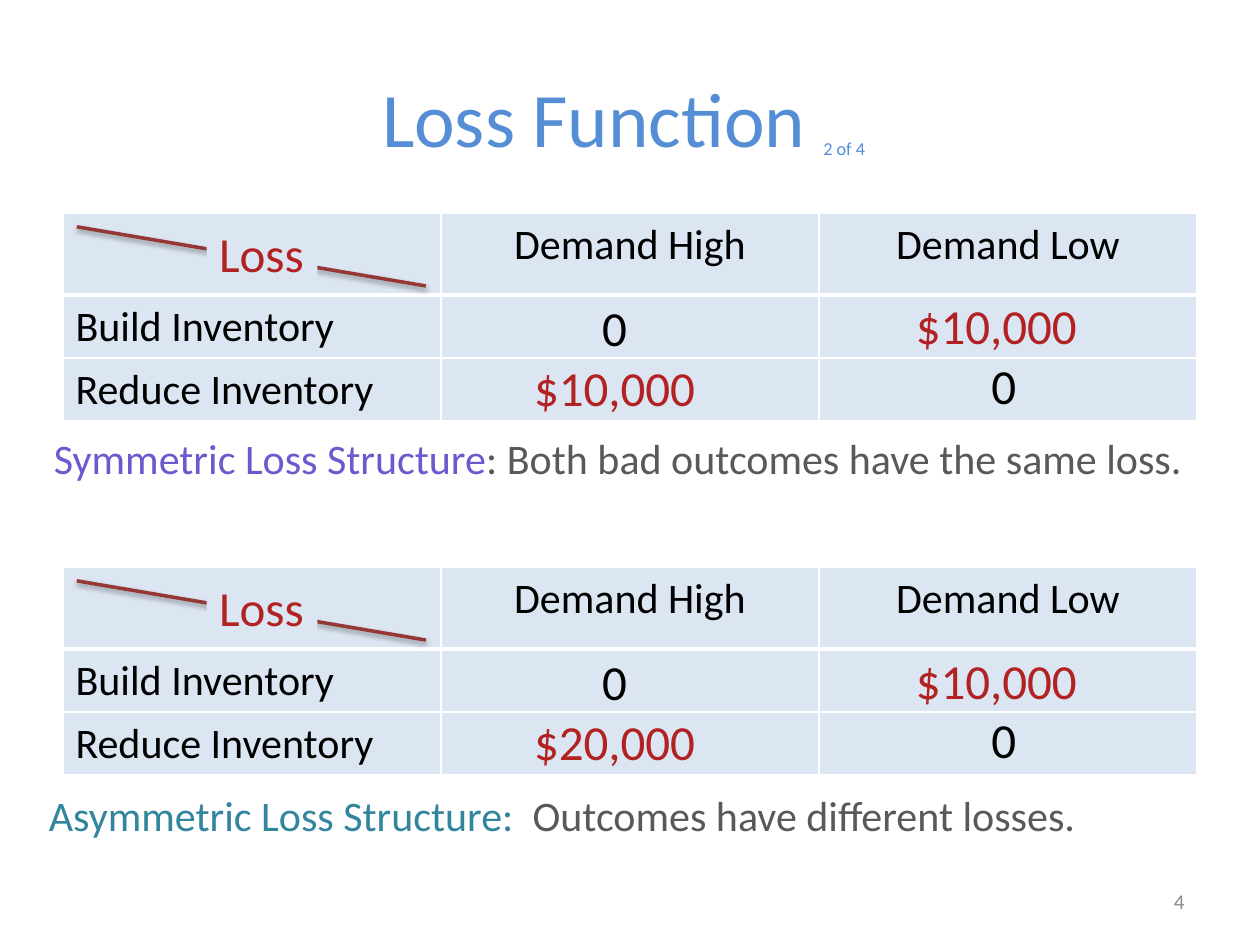
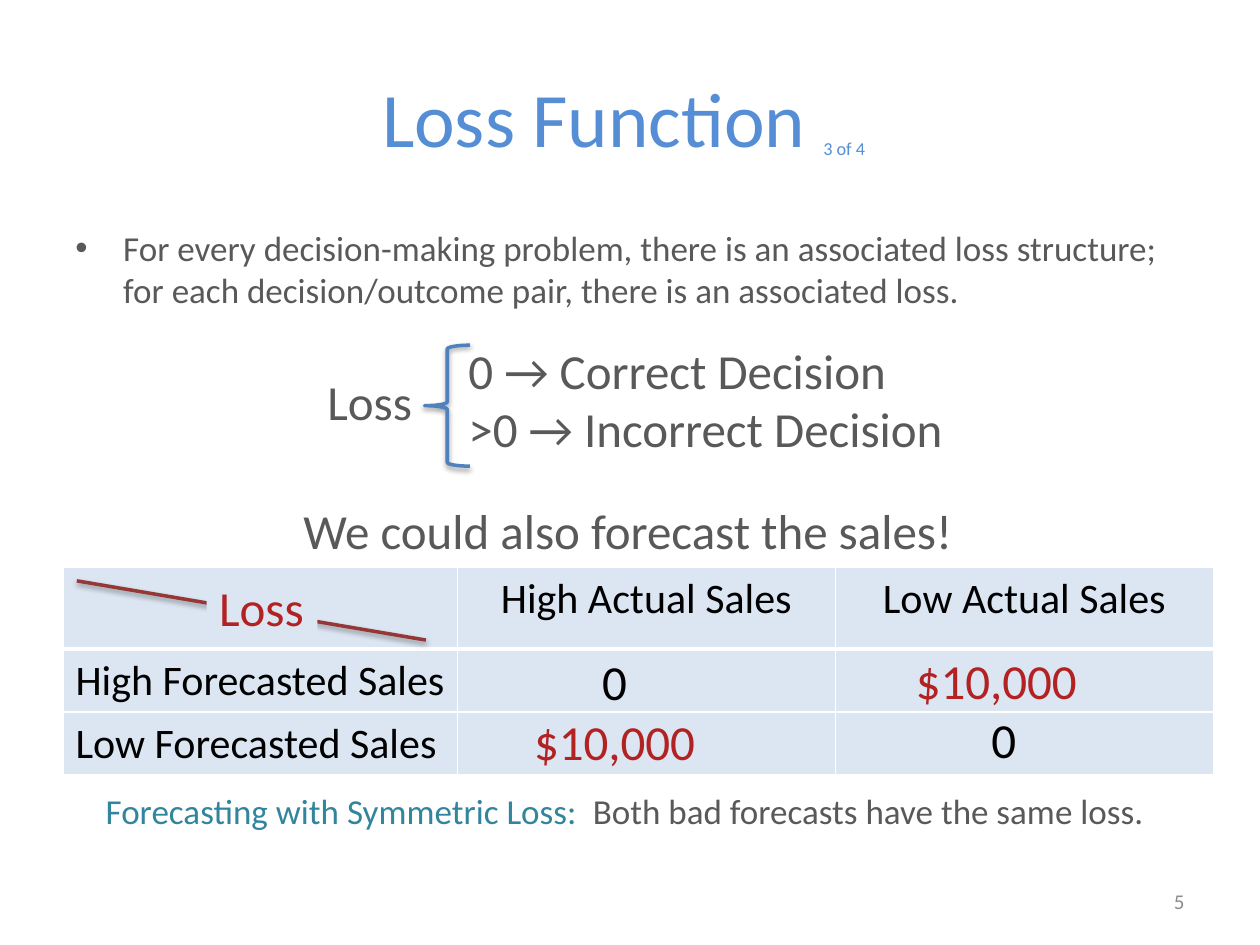
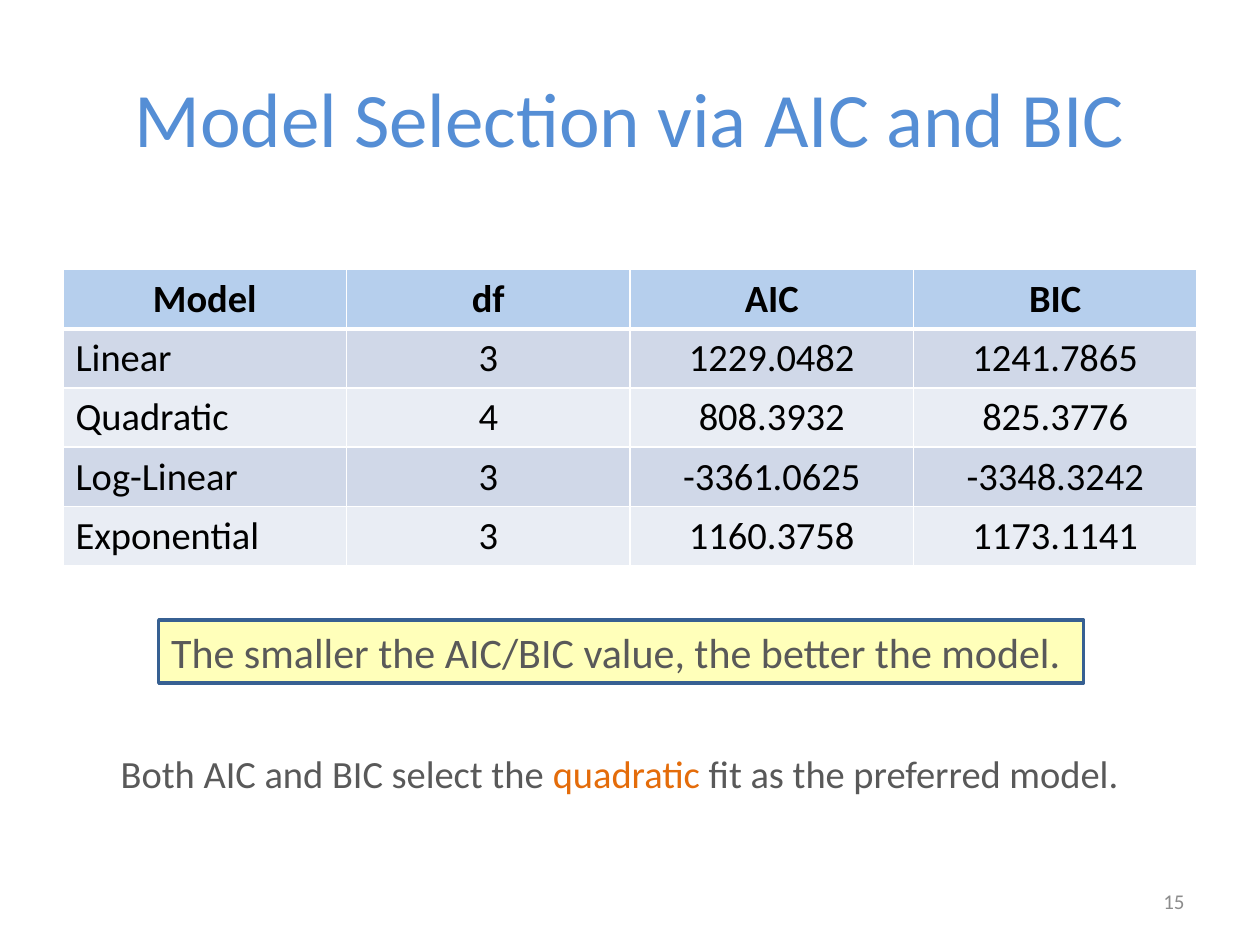
from collections import namedtuple

from lxml.etree import SubElement
from pptx import Presentation
from pptx.dml.color import RGBColor
from pptx.enum.shapes import MSO_CONNECTOR, MSO_SHAPE
from pptx.enum.text import MSO_ANCHOR, MSO_AUTO_SIZE, PP_ALIGN
from pptx.oxml.ns import qn
from pptx.util import Inches, Pt

WIDTH, HEIGHT = Inches(10), Inches(7.5)
COLUMN, ROW = WIDTH / 100, HEIGHT / 75
FONT = "Calibri"

BLUE, GREY, BLACK, WHITE = "558ED5", "595959", "000000", "FFFFFF"
RED, DARK_RED, VIOLET, TEAL, ORANGE = "B22222", "953735", "6A5ACD", "31859C", "E46C0A"
PALE_BLUE, HEADER_BLUE, BANDS = "DCE6F2", "8EB4E3", ("D0D8E8", "E9EDF4")
NUMBER_GREY, BRACE_BLUE, FRAME_BLUE, YELLOW = "8C8C8C", "4F81BD", "376092", "FFFF00"

# Grid units: 100 columns by 75 rows
Box = namedtuple("Box", "left top width height")
Run = namedtuple("Run", "text size color bold baseline", defaults=(False, 0))


def rgb(color):
    return RGBColor.from_string(color)


def emu(box):
    return (round(box.left * COLUMN), round(box.top * ROW),
            round(box.width * COLUMN), round(box.height * ROW))


def inside(box, left, top, width, height):
    """Box placed relative to the corner of another."""
    return Box(box.left + left, box.top + top, width, height)


def paint(fill, color, opacity=100):
    fill.solid()
    fill.fore_color.rgb = rgb(color)
    if opacity < 100:
        color_element = fill._xPr.find(qn("a:solidFill"))[0]
        SubElement(color_element, qn("a:alpha"), val=str(opacity * 1000))


def stroke(line, color, points=2):
    line.color.rgb = rgb(color)
    line.width = Pt(points)


def cast_shadow(shape):
    effects = SubElement(shape._element.spPr, qn("a:effectLst"))
    shadow = SubElement(effects, qn("a:outerShdw"), blurRad=str(Pt(3.1)),
                        dist=str(Pt(1.6)), dir="5400000", rotWithShape="0")
    black = SubElement(shadow, qn("a:srgbClr"), val=BLACK)
    SubElement(black, qn("a:alpha"), val="38000")


def write(frame, paragraphs, align=PP_ALIGN.LEFT):
    for index, runs in enumerate(paragraphs):
        paragraph = frame.add_paragraph() if index else frame.paragraphs[0]
        paragraph.alignment = align
        for part in runs:
            run = paragraph.add_run()
            run.text = part.text
            run.font.name = FONT
            run.font.size = Pt(part.size)
            run.font.bold = part.bold
            run.font.color.rgb = rgb(part.color)
            if part.baseline:
                run.font._element.set("baseline", str(part.baseline * 1000))


def add_text(slide, box, *paragraphs, align=PP_ALIGN.LEFT, anchor=MSO_ANCHOR.MIDDLE):
    """Wrapped text in a box of fixed size."""
    frame = slide.shapes.add_textbox(*emu(box)).text_frame
    frame.word_wrap = True
    frame.vertical_anchor = anchor
    write(frame, paragraphs, align)
    return frame


def add_label(slide, box, *paragraphs, fill=None, opacity=100, outline=None):
    """Unwrapped text whose box fits it, on a filled rectangle if wanted."""
    if fill:
        label = slide.shapes.add_shape(MSO_SHAPE.RECTANGLE, *emu(box))
        label.shadow.inherit = False
        paint(label.fill, fill, opacity)
        if outline:
            stroke(label.line, outline)
        else:
            label.line.fill.background()
    else:
        label = slide.shapes.add_textbox(*emu(box))
    frame = label.text_frame
    frame.word_wrap = False
    frame.auto_size = MSO_AUTO_SIZE.SHAPE_TO_FIT_TEXT
    frame.vertical_anchor = MSO_ANCHOR.TOP
    write(frame, paragraphs)


def add_borders(cell, top, bottom):
    properties = cell._tc.get_or_add_tcPr()
    for side, points in (("L", 1), ("R", 1), ("T", top), ("B", bottom)):
        line = SubElement(properties, qn(f"a:ln{side}"), w=str(Pt(points)))
        fill = SubElement(line, qn("a:solidFill"))
        SubElement(fill, qn("a:srgbClr"), val=WHITE)


def add_grid(slide, box, widths, heights, rows, size, header, bands, bold_header=False):
    """Table with a thick rule below its header; header is (colour, opacity)."""
    table = slide.shapes.add_table(len(heights), len(widths), *emu(box)).table
    table.first_row = table.horz_banding = False
    for column, width in zip(table.columns, widths):
        column.width = round(width * COLUMN)
    for row, height in zip(table.rows, heights):
        row.height = round(height * ROW)
    for r, values in enumerate(rows):
        for c, value in enumerate(values):
            cell = table.cell(r, c)
            add_borders(cell, top=3 if r == 1 else 1, bottom=1 if r else 3)
            paint(cell.fill, *((bands[(r - 1) % len(bands)],) if r else header))
            if value:
                align = PP_ALIGN.LEFT if r and not c else PP_ALIGN.CENTER
                run = Run(value, size, BLACK, bold_header and not r)
                write(cell.text_frame, [[run]], align)


def add_loss_table(slide, box, outcomes, decisions, low_loss, high_loss):
    """Decisions by outcomes; the two losses stand off the zero diagonal."""
    widths = (box.width - 60, 30, 30)
    rows = [("", *outcomes)] + [(decision, "", "") for decision in decisions]
    add_grid(slide, box, widths, (6.5, 5, 5), rows, 24, (PALE_BLUE,), (PALE_BLUE,))

    for left, top in ((41.8, 6.25), (72.7, 10.85)):
        add_label(slide, inside(box, left, top, 4, 5.7), [Run("0", 28, BLACK)])

    x, y, width, height = emu(inside(box, 1.1, 1.1, 27.7, 4.7))
    diagonal = slide.shapes.add_connector(
        MSO_CONNECTOR.STRAIGHT, x, y, x + width, y + height)
    stroke(diagonal.line, DARK_RED)
    cast_shadow(diagonal)
    add_label(slide, inside(box, 11.4, 0.35, 8.8, 5.7), [Run("Loss", 28, RED)],
              fill=PALE_BLUE)

    for left, top, loss in ((36.4, 11, high_loss), (66.7, 6.1, low_loss)):
        add_label(slide, inside(box, left, top, 14.9, 5.7), [Run(loss, 28, RED)])


def add_loss_rule(slide, box):
    """Loss by case, joined by a brace."""
    add_label(slide, inside(box, 0, 2.5, 8.8, 5.7), [Run("Loss", 28, GREY)])
    brace = slide.shapes.add_shape(
        MSO_SHAPE.LEFT_BRACE, *emu(inside(box, 8.7, 0.9, 3.6, 9.6)))
    brace.fill.background()
    stroke(brace.line, BRACE_BLUE)
    cast_shadow(brace)
    add_label(slide, inside(box, 11.2, 0, 40.3, 10.4),
              [Run("0 → Correct Decision", 28, GREY)],
              [Run(">0 → Incorrect Decision", 28, GREY)])


def add_bullet(slide, box, text):
    frame = add_text(slide, box, [Run(text, 20, GREY)], anchor=MSO_ANCHOR.TOP)
    paragraph = frame.paragraphs[0]
    paragraph.space_before = Pt(4)
    properties = paragraph._p.get_or_add_pPr()
    properties.set("marL", str(Inches(0.38)))
    properties.set("indent", str(Inches(-0.38)))
    SubElement(properties, qn("a:buFont"), typeface="Arial")
    SubElement(properties, qn("a:buChar"), char="•")


def start_slide(deck, number, title, part=None):
    """Blank slide with its title, part count and slide number."""
    slide = deck.slides.add_slide(deck.slide_layouts[6])
    runs = [Run(title, 44, BLUE)]
    if part:
        runs = [Run(title + " ", 44, BLUE), Run(part, 18, BLUE, baseline=-25),
                Run(" ", 32, BLACK)]
    add_text(slide, Box(5, 3, 90, 12.5), runs, align=PP_ALIGN.CENTER)
    add_text(slide, Box(71.7, 69.5, 23.3, 4), [Run(str(number), 12, NUMBER_GREY)],
             align=PP_ALIGN.RIGHT)
    return slide


def build_loss_structures(deck):
    slide = start_slide(deck, 4, "Loss Function", "2 of 4")
    outcomes = "Demand High", "Demand Low"
    decisions = "Build Inventory", "Reduce Inventory"
    for top, high_loss in ((16.9, "$10,000"), (45, "$20,000")):
        add_loss_table(slide, Box(5, top, 90, 16.5), outcomes, decisions,
                       "$10,000", high_loss)
    add_label(slide, Box(3.3, 33.8, 92.4, 5),
              [Run("Symmetric Loss Structure", 24, VIOLET),
               Run(": Both bad outcomes have the same loss.", 24, GREY)])
    add_label(slide, Box(2.9, 62.2, 84.3, 5),
              [Run("Asymmetric Loss Structure: ", 24, TEAL),
               Run(" Outcomes have different losses.", 24, GREY)])


def build_forecast_loss(deck):
    slide = start_slide(deck, 5, "Loss Function", "3 of 4")
    add_loss_table(slide, Box(5, 45, 91.3, 16.5),
                   ("High Actual Sales", "Low Actual Sales"),
                   ("High Forecasted Sales", "Low Forecasted Sales"),
                   "$10,000", "$10,000")
    add_label(slide, Box(7.4, 62.2, 85.1, 4.4),
              [Run("Forecasting with Symmetric Loss: ", 20, TEAL),
               Run(" Both bad forecasts have the same loss.", 20, GREY)])
    add_bullet(slide, Box(5, 17.5, 90, 49.5),
               "For every decision-making problem, there is an associated loss "
               "structure; for each decision/outcome pair, there is an associated loss.")
    add_loss_rule(slide, Box(25, 26.5, 51.5, 10.5))
    add_label(slide, Box(23.1, 39.2, 54.1, 5.7),
              [Run("We could also forecast the sales!", 28, GREY)])


def build_model_selection(deck):
    slide = start_slide(deck, 15, "Model Selection via AIC and BIC")
    models = [
        ("Model", "df", "AIC", "BIC"),
        ("Linear", "3", "1229.0482", "1241.7865"),
        ("Quadratic", "4", "808.3932", "825.3776"),
        ("Log-Linear", "3", "-3361.0625", "-3348.3242"),
        ("Exponential", "3", "1160.3758", "1173.1141"),
    ]
    add_grid(slide, Box(5, 21.4, 90, 23.5), [22.5] * 4, [4.7] * 5, models, 22,
             (HEADER_BLUE, 64), BANDS, bold_header=True)
    add_label(slide, Box(12.6, 49.2, 73.4, 5),
              [Run("The smaller the AIC/BIC value, the better the model.", 24, GREY)],
              fill=YELLOW, opacity=27, outline=FRAME_BLUE)
    add_label(slide, Box(8.6, 59, 82.2, 4.7),
              [Run("Both AIC and BIC select the ", 22, GREY),
               Run("quadratic", 22, ORANGE),
               Run(" fit as the preferred model.", 22, GREY)])


def main():
    deck = Presentation()
    deck.slide_width, deck.slide_height = WIDTH, HEIGHT
    build_loss_structures(deck)
    build_forecast_loss(deck)
    build_model_selection(deck)
    deck.save("out.pptx")


if __name__ == "__main__":
    main()
